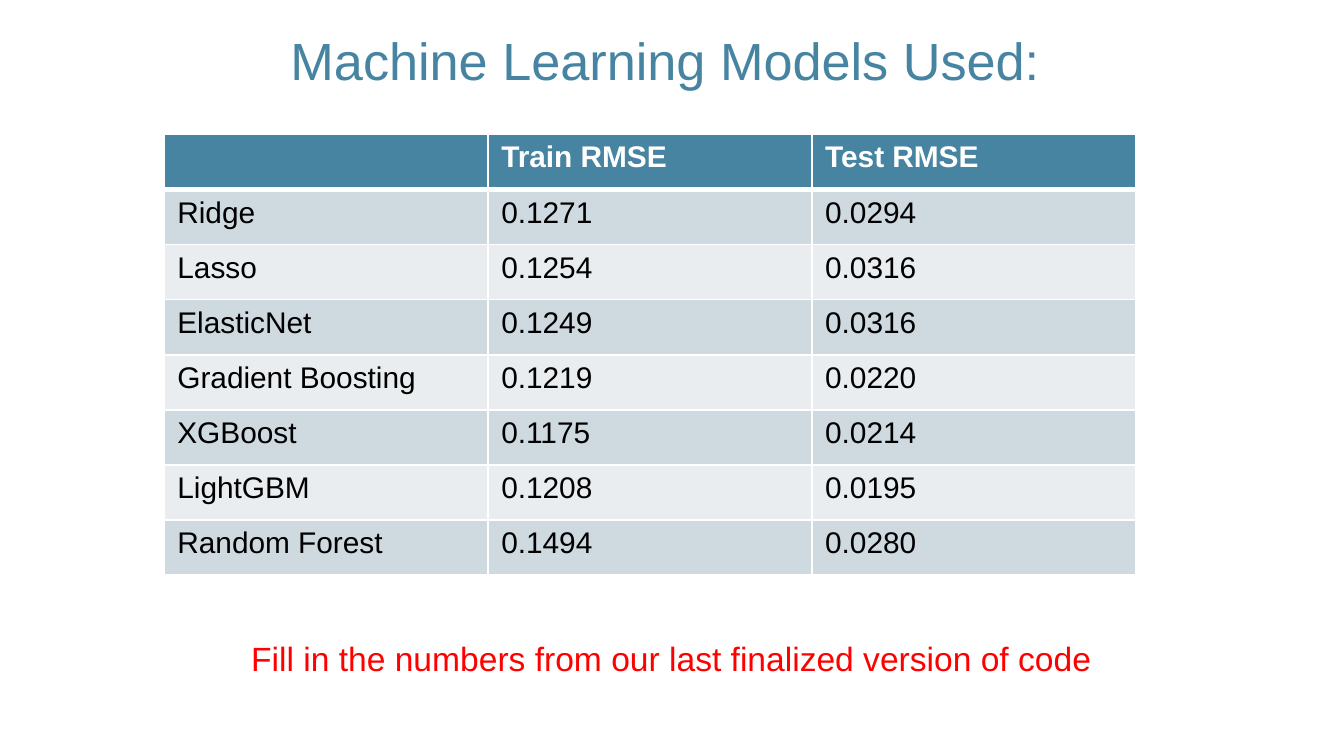
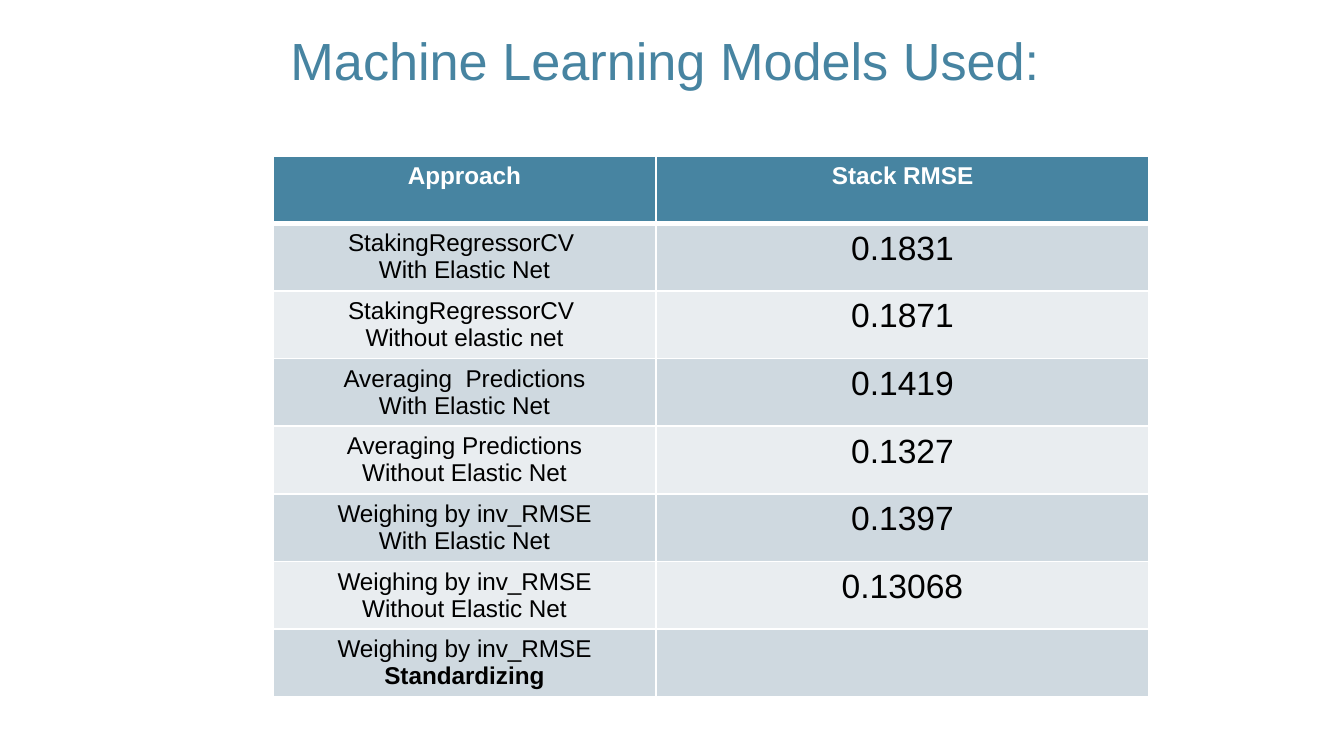
from lxml import etree
from pptx import Presentation
from pptx import util as u
from pptx.dml.color import RGBColor
from pptx.enum import text
from pptx.oxml import ns

COLORS = {
    "accent": "4784A1",
    "band_dark": "CFD9E0",
    "band_light": "E9EDF0",
    "white": "FFFFFF",
    "black": "000000",
    "note": "FF0000",
}
FONT = "Arial"
TITLE = "Machine Learning Models Used: "
LEFT, CENTER = text.PP_ALIGN.LEFT, text.PP_ALIGN.CENTER

prs = Presentation()
prs.slide_width = u.Inches(10)
prs.slide_height = prs.slide_width * 9 // 16
W, H = prs.slide_width, prs.slide_height


def style(p, size, color, bold=False, align=LEFT):
    p.alignment = align
    p.font.name = FONT
    p.font.size = u.Pt(size)
    p.font.bold = bold
    p.font.color.rgb = RGBColor.from_string(COLORS[color])


def border(cell, side, points):
    ln = etree.SubElement(cell._tc.get_or_add_tcPr(), ns.qn(f"a:ln{side}"), w=str(u.Pt(points)))
    fill = etree.SubElement(ln, ns.qn("a:solidFill"))
    etree.SubElement(fill, ns.qn("a:srgbClr"), val=COLORS["white"])


model_rows = [
    ("", "Train RMSE", "Test RMSE"),
    ("Ridge", "0.1271", "0.0294"),
    ("Lasso", "0.1254", "0.0316"),
    ("ElasticNet", "0.1249", "0.0316"),
    ("Gradient Boosting", "0.1219", "0.0220"),
    ("XGBoost", "0.1175", "0.0214"),
    ("LightGBM", "0.1208", "0.0195"),
    ("Random Forest", "0.1494", "0.0280"),
]
stack_rows = [
    ("Approach", "Stack RMSE"),
    ("StakingRegressorCV \nWith Elastic Net", "0.1831"),
    ("StakingRegressorCV \nWithout elastic net", "0.1871"),
    ("Averaging  Predictions\nWith Elastic Net", "0.1419"),
    ("Averaging Predictions\nWithout Elastic Net", "0.1327"),
    ("Weighing by inv_RMSE\nWith Elastic Net", "0.1397"),
    ("Weighing by inv_RMSE\nWithout Elastic Net", "0.13068"),
    ("Weighing by inv_RMSE\nStandardizing", ""),
]
tables = [
    dict(rows=model_rows, left=1.22, top=1, cols=[2.41] * 3, row=0.41,
         header=16, sizes=[16] * 3, align=LEFT),
    dict(rows=stack_rows, left=2.03, top=1.16, cols=[2.85, 3.67], row=0.5,
         header=13, sizes=[13, 18], align=CENTER),
]

for spec_table in tables:
    s = prs.slides.add_slide(prs.slide_layouts[5])
    title = s.shapes.title
    title.left, title.top, title.width, title.height = 0, u.Inches(0.13), W, u.Inches(0.63)
    tf = title.text_frame
    tf.text = TITLE
    tf.auto_size = text.MSO_AUTO_SIZE.NONE
    tf.vertical_anchor = text.MSO_ANCHOR.MIDDLE
    style(tf.paragraphs[0], 28, "accent", align=CENTER)

    rows, cols = spec_table["rows"], spec_table["cols"]
    table = s.shapes.add_table(
        len(rows), len(cols), u.Inches(spec_table["left"]), u.Inches(spec_table["top"]),
        u.Inches(sum(cols)), u.Inches(spec_table["row"] * len(rows))).table
    for column, width in zip(table.columns, cols):
        column.width = u.Inches(width)

    for i, row in enumerate(rows):
        table.rows[i].height = u.Inches(spec_table["row"])
        fill = "accent" if i == 0 else "band_dark" if i % 2 else "band_light"
        for j, value in enumerate(row):
            cell = table.cell(i, j)
            for side in "LRTB":
                thick = (i, side) in [(0, "B"), (1, "T")]
                border(cell, side, 3 if thick else 1)
            cell.fill.solid()
            cell.fill.fore_color.rgb = RGBColor.from_string(COLORS[fill])
            cell.text = value
            for p in cell.text_frame.paragraphs:
                size = spec_table["sizes"][j] if i else spec_table["header"]
                style(p, size, "black" if i else "white",
                      i == 0 or p.text == "Standardizing", spec_table["align"])

note = prs.slides[0].shapes.add_textbox(
    u.Inches(1.77), u.Inches(4.7), u.Inches(6.72), u.Inches(0.4))
tf = note.text_frame
tf.word_wrap = False
tf.auto_size = text.MSO_AUTO_SIZE.SHAPE_TO_FIT_TEXT
tf.text = "Fill in the numbers from our last finalized version of code"
style(tf.paragraphs[0], 18, "note")

prs.save("out.pptx")
